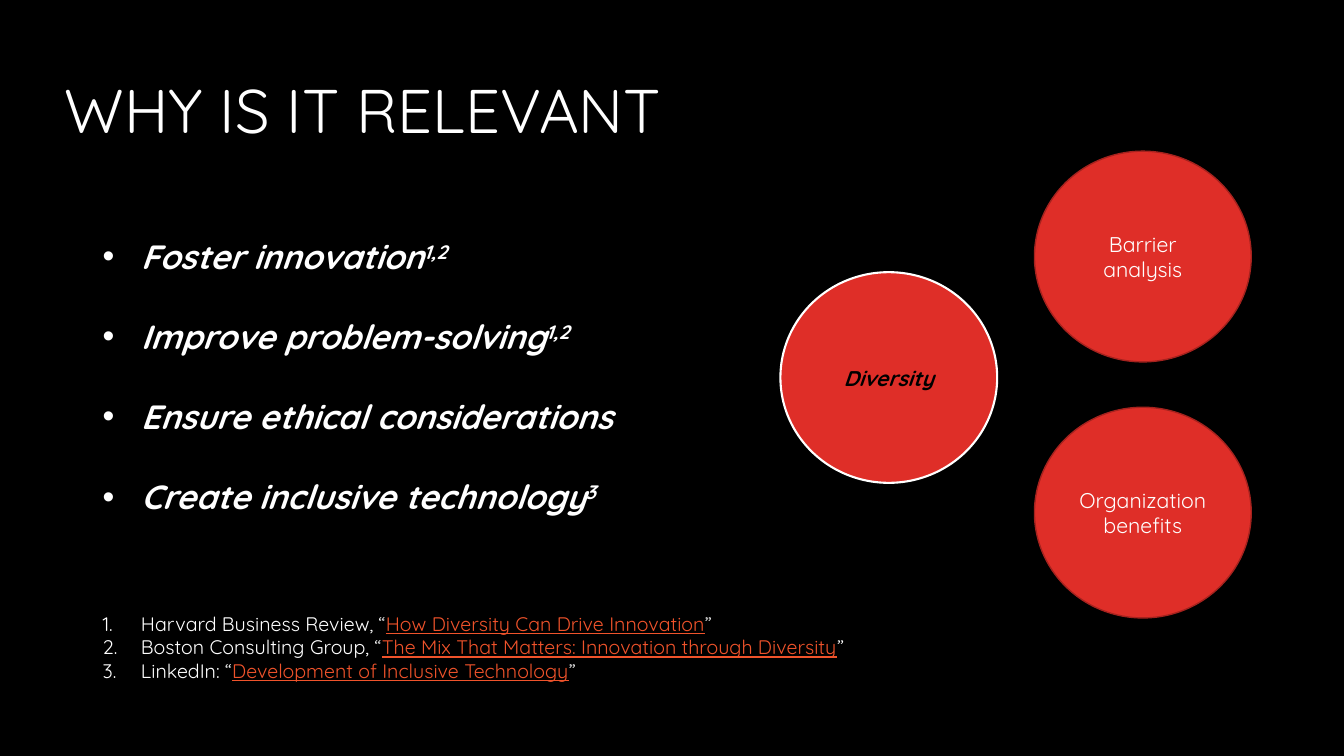
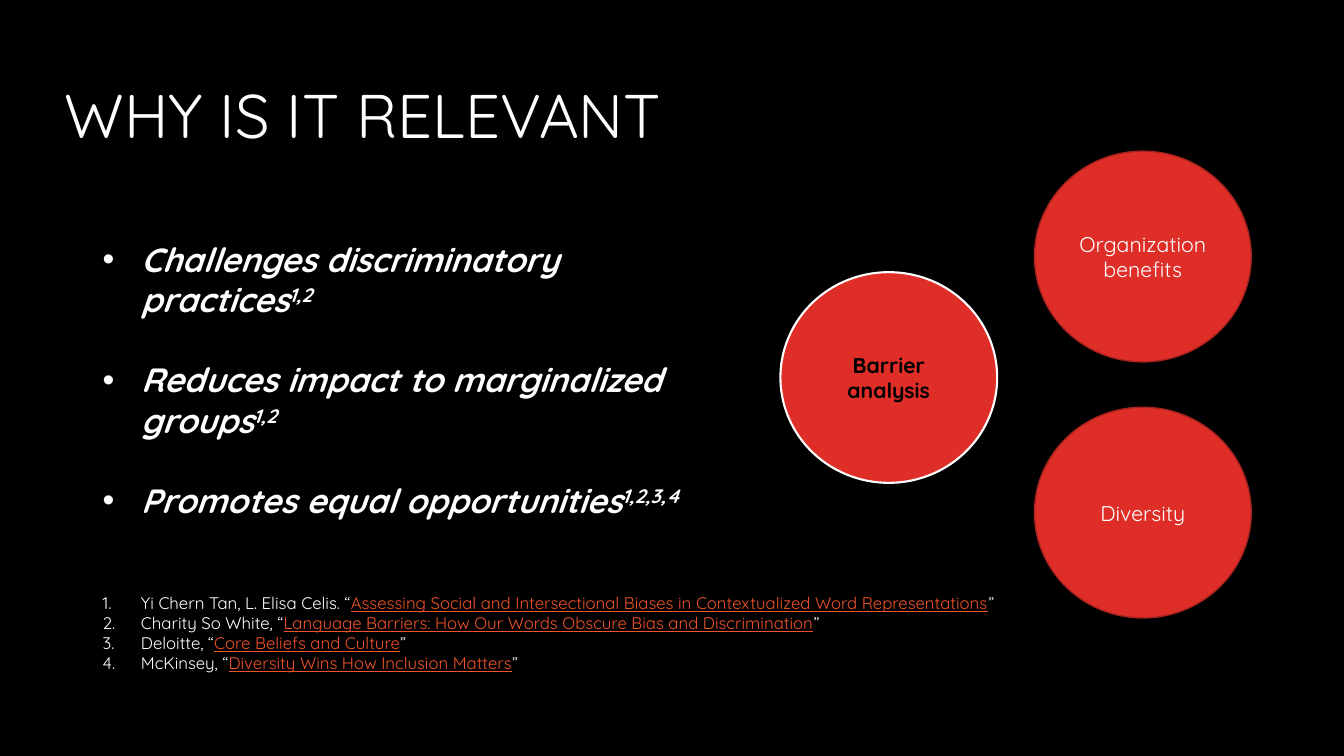
import dataclasses

import lxml.etree
import pptx
import pptx.dml.color
import pptx.enum.shapes
import pptx.enum.text
import pptx.oxml.ns
import pptx.util

PX = 9144


@dataclasses.dataclass(frozen=True)
class Theme:
    """Colours, font and type sizes shared by the slides."""
    font: str = "Quicksand"
    back: str = "000000"
    light: str = "FFFFFF"
    disc: str = "DF2E28"
    rim: str = "A5221E"
    link: str = "F0532B"
    title: float = 44
    point: float = 24
    point_gap: float = 28.5
    label: float = 15.2


THEME = Theme()

SLIDES = [
    {
        "title_top": 40,
        "points_box": (92, 229, 615, 293),
        "points": [
            ("Foster innovation", "1,2"),
            ("Improve problem-solving", "1,2"),
            ("Ensure ethical considerations", ""),
            ("Create inclusive technology", "3"),
        ],
        "topic": ("Diversity", True),
        "others": ["Barrier analysis", "Organization benefits"],
        "sources_box": (92, 602, 812, 81),
        "sources_size": 14,
        "sources": [
            ("Harvard Business Review, ", "How Diversity Can Drive Innovation"),
            ("Boston Consulting Group, ", "The Mix That Matters: Innovation through Diversity"),
            ("LinkedIn: ", "Development of Inclusive Technology"),
        ],
    },
    {
        "title_top": 45,
        "points_box": (92, 232, 615, 333),
        "points": [
            ("Challenges discriminatory practices", "1,2"),
            ("Reduces impact to marginalized groups", "1,2"),
            ("Promotes equal opportunities", "1,2,3,4"),
        ],
        "topic": ("Barrier analysis", False),
        "others": ["Organization benefits", "Diversity"],
        "sources_box": (92, 583, 952, 91),
        "sources_size": 12,
        "sources": [
            ("Yi Chern Tan, L. Elisa Celis. ",
             "Assessing Social and Intersectional Biases in Contextualized Word Representations"),
            ("Charity So White, ", "Language Barriers: How Our Words Obscure Bias and Discrimination"),
            ("Deloitte, ", "Core Beliefs and Culture"),
            ("McKinsey, ", "Diversity Wins How Inclusion Matters"),
        ],
    },
]


def rgb(code):
    """Turn a hex code into a colour."""
    return pptx.dml.color.RGBColor.from_string(code)


def emu(box):
    """Turn a box in px into EMU."""
    return [length * PX for length in box]


def style(font, size, color, bold=False, italic=False):
    """Set the theme font with a size, colour and weight."""
    font.name, font.size = THEME.font, pptx.util.Pt(size)
    font.bold, font.italic = bold, italic
    font.color.rgb = rgb(color)


def add_text(page, box):
    """Add a wrapping text box and return its frame."""
    frame = page.shapes.add_textbox(*emu(box)).text_frame
    frame.word_wrap = True
    return frame


def add_list(frame, count, marker, **settings):
    """Yield paragraphs that hang from a bullet or a number."""
    for index in range(count):
        para = frame.add_paragraph() if index else frame.paragraphs[0]
        props = para._p.get_or_add_pPr()
        props.set("marL", str(38 * PX))
        props.set("indent", str(-38 * PX))
        lxml.etree.SubElement(props, pptx.oxml.ns.qn("a:buFont"), typeface="Arial")
        lxml.etree.SubElement(props, pptx.oxml.ns.qn(marker), **settings)
        yield para


def add_span(para, text):
    """Add a run of text and return it."""
    span = para.add_run()
    span.text = text
    return span


def add_title(page, box):
    """Write the shared heading, right-aligned in its box."""
    frame = add_text(page, box)
    frame.vertical_anchor = pptx.enum.text.MSO_ANCHOR.MIDDLE
    para = frame.paragraphs[0]
    para.text = "WHY IS IT RELEVANT"
    para.alignment = pptx.enum.text.PP_ALIGN.RIGHT
    para.line_spacing = 0.9
    style(para.font, THEME.title, THEME.light)


def add_points(page, box, points):
    """List the main points with raised source numbers."""
    paras = add_list(add_text(page, box), len(points), "a:buChar", char="•")
    for index, (para, (text, marks)) in enumerate(zip(paras, points)):
        if index:
            para.space_before = pptx.util.Pt(THEME.point_gap)
        style(para.font, THEME.point, THEME.light, bold=True, italic=True)
        add_span(para, text)
        if marks:
            add_span(para, marks)._r.get_or_add_rPr().set("baseline", "30000")


def add_disc(page, box, text, rim, rim_width, color, bold=False, italic=False):
    """Draw one labelled disc."""
    disc = page.shapes.add_shape(pptx.enum.shapes.MSO_SHAPE.OVAL, *emu(box))
    disc.shadow.inherit = False
    disc.fill.solid()
    disc.fill.fore_color.rgb = rgb(THEME.disc)
    disc.line.color.rgb = rgb(rim)
    disc.line.width = pptx.util.Pt(rim_width)
    frame = disc.text_frame
    frame.word_wrap = True
    frame.margin_left = frame.margin_right = 5 * PX
    frame.vertical_anchor = pptx.enum.text.MSO_ANCHOR.MIDDLE
    para = frame.paragraphs[0]
    para.text = text
    para.alignment = pptx.enum.text.PP_ALIGN.CENTER
    style(para.font, THEME.label, color, bold, italic)


def add_discs(page, box, topic, others):
    """Set the current topic left of the two stacked others."""
    left, top, width, height = box
    disc_width, disc_height = 215, 209
    right = left + width - disc_width
    travel = height - disc_height
    text, italic = topic
    add_disc(page, (left, top + travel // 2 - 7, disc_width, disc_height), text,
             THEME.light, 1.5, THEME.back, bold=True, italic=italic)
    for index, other in enumerate(others):
        add_disc(page, (right, top + index * travel, disc_width, disc_height), other,
                 THEME.rim, 1, THEME.light)


def add_sources(page, box, sources, size):
    """Number the sources, with each work underlined."""
    paras = add_list(add_text(page, box), len(sources), "a:buAutoNum", type="arabicPeriod")
    for para, (author, work) in zip(paras, sources):
        style(para.font, size, THEME.light)
        add_span(para, author + "“")
        link = add_span(para, work).font
        link.color.rgb = rgb(THEME.link)
        link.underline = True
        add_span(para, "”")


def add_page(deck, content):
    """Build one slide from its content."""
    page = deck.slides.add_slide(deck.slide_layouts[6])
    page.background.fill.solid()
    page.background.fill.fore_color.rgb = rgb(THEME.back)
    add_title(page, (30, content["title_top"], 636, 145))
    add_points(page, content["points_box"], content["points"])
    add_discs(page, (774, 150, 467, 463), content["topic"], content["others"])
    add_sources(page, content["sources_box"], content["sources"], content["sources_size"])


def main():
    """Build and save the deck."""
    deck = pptx.Presentation()
    deck.slide_width, deck.slide_height = emu((1333, 750))
    for content in SLIDES:
        add_page(deck, content)
    deck.save("out.pptx")


if __name__ == "__main__":
    main()
